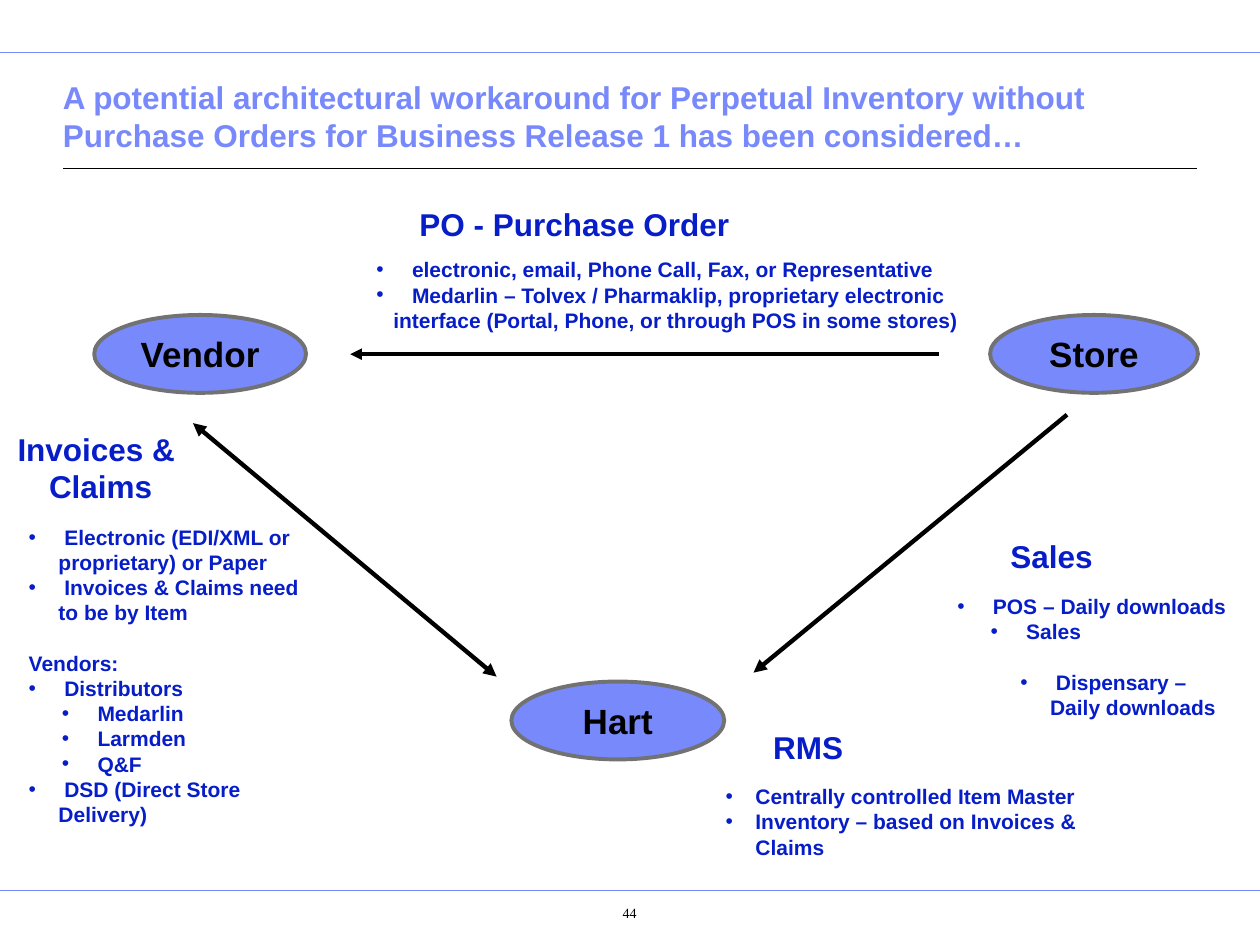
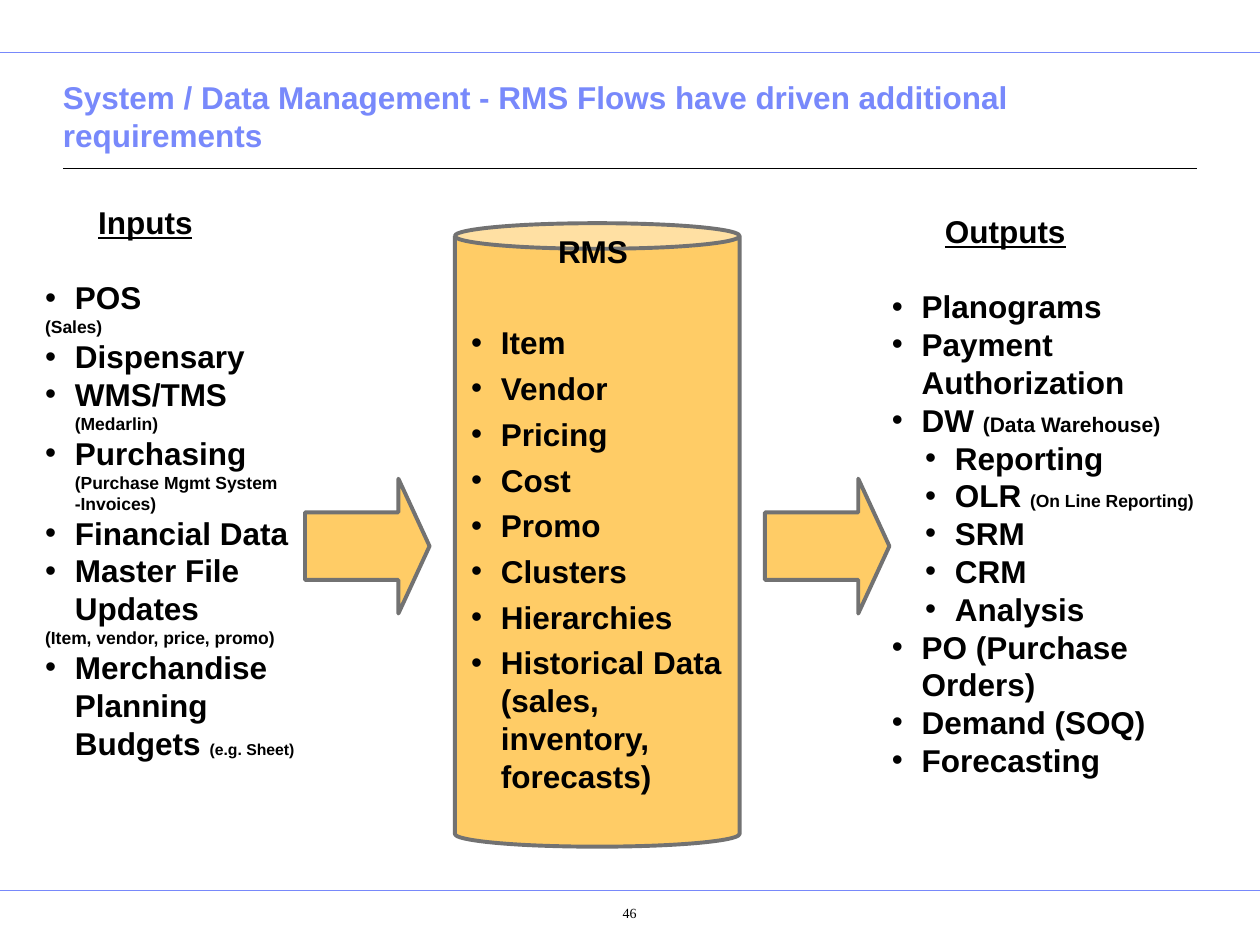
from lxml import etree
from pptx import Presentation
from pptx.dml.color import RGBColor
from pptx.enum.shapes import MSO_CONNECTOR, MSO_SHAPE
from pptx.enum.text import MSO_ANCHOR, PP_ALIGN
from pptx.oxml.ns import qn
from pptx.util import Cm, Pt

STRAIGHT = MSO_CONNECTOR.STRAIGHT
OVAL, CAN, ARROW = MSO_SHAPE.OVAL, MSO_SHAPE.CAN, MSO_SHAPE.RIGHT_ARROW
TOP, MIDDLE, BOTTOM = MSO_ANCHOR.TOP, MSO_ANCHOR.MIDDLE, MSO_ANCHOR.BOTTOM
LEFT, CENTER = PP_ALIGN.LEFT, PP_ALIGN.CENTER

BLACK, BLUE, PERIWINKLE = "000000", "061DC8", "7889FB"
ORANGE, GREY = "FFCC66", "727272"
LINE_HEIGHT = 1.2  # times the largest text size of the paragraph
HANG = 0.6
INSETS = (0.25, 0.13, 0.25, 0.13)

# Paragraph styles: left margin in cm, bullet or not
STYLES = {
    "plain": (0, False),
    "note": (HANG, False),
    "continued": (0.34, False),
    "heading": (1.07, False),
    "can heading": (1.75, False),
    "bullet": (HANG, True),
    "sub": (1.27, True),
    "subsub": (1.87, True),
}

# Shared frame: left, right, height, colour, width in points
RULES = [
    (0, 25.4, 1.06, PERIWINKLE, 0.5),
    (0, 25.4, 17.96, PERIWINKLE, 0.5),
    (1.27, 24.13, 3.4, BLACK, 0.75),
]

# Slide with the flows between vendor, store and head office
FLOW_TITLE = ("A potential architectural workaround for Perpetual Inventory without "
              "Purchase Orders for Business Release 1 has been considered…")
PARTIES = [
    ("Store", (19.96, 6.35, 4.19, 1.57)),
    ("Vendor", (1.9, 6.35, 4.27, 1.57)),
    ("Hart", (10.31, 13.74, 4.29, 1.57)),
]
# Start, end, width in points, arrowheads
FLOW_ARROWS = [
    ((3.89, 8.53), (10.01, 13.64), 2.5, ("headEnd", "tailEnd")),
    ((21.51, 8.36), (15.19, 13.56), 2.5, ("tailEnd",)),
    ((18.92, 7.14), (7.06, 7.14), 2.25, ("tailEnd",)),
]
FLOW_HEADINGS = [
    (["Sales"], (19.9, 10.69, 2.6, 1.02)),
    (["RMS"], (15.04, 14.55, 2.5, 1.02)),
    (["Invoices & ", "Claims"], (0.1, 8.53, 3.86, 1.78)),
    (["PO - Purchase Order"], (8.08, 4.01, 7, 1.02)),
]
# Paragraphs: style, text or list of (text, size), blank space above in points
FLOW_DETAILS = [
    ((19.05, 11.84, 5.94, 2.79), [
        ("bullet", " POS – Daily downloads"),
        ("sub", " Sales"),
        ("subsub", " Dispensary – Daily downloads", 14.4),
    ]),
    ((14.38, 15.67, 8.64, 1.27), [
        ("bullet", "Centrally controlled Item Master"),
        ("bullet", "Inventory – based on Invoices & Claims"),
    ]),
    ((0.33, 10.44, 6.3, 5.84), [
        ("bullet", " Electronic (EDI/XML or proprietary) or Paper"),
        ("bullet", " Invoices & Claims need to be by Item"),
        ("plain", "Vendors:", 14.4),
        ("bullet", " Distributors"),
        ("sub", " Medarlin"),
        ("sub", " Larmden"),
        ("sub", " Q&F"),
        ("bullet", " DSD (Direct Store Delivery)"),
    ]),
    ((7.34, 5.05, 12.75, 1.78), [
        ("bullet", " electronic, email, Phone Call, Fax, or Representative"),
        ("bullet", " Medarlin – Tolvex / Pharmaklip, proprietary electronic"),
        ("continued", "interface (Portal, Phone, or through POS in some stores)"),
    ]),
]

# Slide with the inputs and outputs of the system
SYSTEM_TITLE = "System / Data Management - RMS Flows have driven additional requirements"
INPUTS = [
    ("bullet", "POS", 21.6),
    ("plain", [("(Sales)", 10)]),
    ("bullet", "Dispensary"),
    ("bullet", "WMS/TMS"),
    ("note", [("(Medarlin)", 10)]),
    ("bullet", "Purchasing"),
    ("note", [("(Purchase Mgmt System -Invoices)", 10)]),
    ("bullet", "Financial Data"),
    ("bullet", "Master File Updates"),
    ("plain", [("(Item, vendor, price, promo)", 10)]),
    ("bullet", [("Merchandise Planning Budgets ", 18), ("(e.g. Sheet)", 9)]),
]
OUTPUTS = [
    ("bullet", "Planograms", 21.6),
    ("bullet", "Payment Authorization"),
    ("bullet", [("DW ", 18), ("(Data Warehouse)", 12)]),
    ("sub", "Reporting"),
    ("sub", [("OLR ", 18), ("(On Line Reporting)", 10)]),
    ("sub", "SRM"),
    ("sub", "CRM"),
    ("sub", "Analysis"),
    ("bullet", "PO (Purchase Orders)"),
    ("bullet", "Demand (SOQ)"),
    ("bullet", "Forecasting"),
]
RMS_DATA = ["Item", "Vendor", "Pricing", "Cost", "Promo", "Clusters", "Hierarchies",
            "Historical Data (sales, inventory, forecasts)"]
RMS_GAP = 4.5
RMS_HEADING_GAP = 30.6
# Preset, place, adjustments
SYSTEM_SHAPES = [
    (ARROW, (6.15, 9.65, 2.51, 2.72), (0.5, 0.25)),
    (ARROW, (15.42, 9.65, 2.51, 2.72), (0.5, 0.25)),
    (CAN, (9.17, 4.5, 5.74, 12.57), (0.09,)),
]


def color(hex_value):
    return RGBColor.from_string(hex_value)


def lengths(values):
    return [Cm(value) for value in values]


def add_element(parent, tag, **attributes):
    return etree.SubElement(parent, qn(tag), attributes)


def write(shape, paragraphs, size, text_color=BLACK, align=LEFT, anchor=TOP,
          insets=INSETS, wrap=True, bold=True, font="Arial"):
    """Fill a shape with paragraphs of (style, text, space above)."""
    frame = shape.text_frame
    margins = zip(("left", "top", "right", "bottom"), lengths(insets))
    settings = {f"margin_{side}": margin for side, margin in margins}
    settings.update(word_wrap=wrap, vertical_anchor=anchor)
    for name, value in settings.items():
        setattr(frame, name, value)

    for index, (style, content, *gap) in enumerate(paragraphs):
        paragraph = frame.add_paragraph() if index else frame.paragraphs[0]
        runs = [(content, size)] if isinstance(content, str) else content
        paragraph.alignment = align
        paragraph.line_spacing = Pt(LINE_HEIGHT * max(points for _, points in runs))
        if gap:
            paragraph.space_before = Pt(gap[0])

        margin, has_bullet = STYLES[style]
        properties = paragraph._p.get_or_add_pPr()
        properties.set("marL", str(Cm(margin)))
        properties.set("indent", str(Cm(-HANG) if has_bullet else 0))
        if has_bullet:
            add_element(properties, "a:buFont", typeface="Arial")
            add_element(properties, "a:buChar", char="•")

        for text, points in runs:
            run = paragraph.add_run()
            run.text = text
            formats = {"name": font, "size": Pt(points), "bold": bold,
                       "underline": style == "heading"}
            for name, value in formats.items():
                setattr(run.font, name, value)
            run.font.color.rgb = color(text_color)


def add_text(slide, place, paragraphs, size, **options):
    write(slide.shapes.add_textbox(*lengths(place)), paragraphs, size, **options)


def add_outlined(slide, preset, place, fill, adjustments=()):
    shape = slide.shapes.add_shape(preset, *lengths(place))
    shape.shadow.inherit = False
    shape.fill.solid()
    shape.fill.fore_color.rgb = color(fill)
    shape.line.color.rgb = color(GREY)
    shape.line.width = Pt(2.25)
    for index, value in enumerate(adjustments):
        shape.adjustments[index] = value
    return shape


def add_line(slide, start, end, line_color, width, heads=()):
    connector = slide.shapes.add_connector(STRAIGHT, *lengths(start + end))
    connector.line.color.rgb = color(line_color)
    connector.line.width = Pt(width)
    outline = connector.line._get_or_add_ln()
    for head in heads:
        add_element(outline, f"a:{head}", type="triangle")
    add_element(connector._element.spPr, "a:effectLst")


def add_framed_slide(presentation, title, number):
    slide = presentation.slides.add_slide(presentation.slide_layouts[6])
    for left, right, height, line_color, width in RULES:
        add_line(slide, (left, height), (right, height), line_color, width)
    add_text(slide, (1.27, 1.63, 22.86, 1.6), [("plain", title)], 18,
             text_color=PERIWINKLE, anchor=BOTTOM, insets=(0, 0.13, 0, 0.13))
    add_text(slide, (10.85, 18.06, 2.92, 0.89), [("plain", number)], 8, align=CENTER,
             insets=(1.02, 0.18, 0.25, 0.13), bold=False, font="Times New Roman")
    return slide


def build_flow_slide(presentation):
    slide = add_framed_slide(presentation, FLOW_TITLE, "44")
    for name, place in PARTIES:
        oval = add_outlined(slide, OVAL, place, PERIWINKLE)
        write(oval, [("plain", name)], 20, align=CENTER, anchor=MIDDLE)
    for start, end, width, heads in FLOW_ARROWS:
        add_line(slide, start, end, BLACK, width, heads)
    for heading_lines, place in FLOW_HEADINGS:
        add_text(slide, place, [("plain", line) for line in heading_lines], 18,
                 text_color=BLUE, align=CENTER, wrap=False)
    for place, paragraphs in FLOW_DETAILS:
        add_text(slide, place, paragraphs, 12, text_color=BLUE)


def build_system_slide(presentation):
    slide = add_framed_slide(presentation, SYSTEM_TITLE, "46")
    add_text(slide, (17.73, 4.14, 7.42, 11.68), [("heading", "Outputs")] + OUTPUTS, 18)
    add_text(slide, (0.66, 3.96, 5.92, 11.53), [("heading", "Inputs")] + INPUTS, 18)
    for preset, place, adjustments in SYSTEM_SHAPES:
        add_outlined(slide, preset, place, ORANGE, adjustments)
    data = [("bullet", name, RMS_GAP if index else RMS_HEADING_GAP)
            for index, name in enumerate(RMS_DATA)]
    add_text(slide, (9.25, 4.55, 5.77, 10.85), [("can heading", "RMS")] + data, 18)


def main():
    presentation = Presentation()
    presentation.slide_width, presentation.slide_height = Cm(25.4), Cm(19.05)
    build_flow_slide(presentation)
    build_system_slide(presentation)
    presentation.save("out.pptx")


if __name__ == "__main__":
    main()
